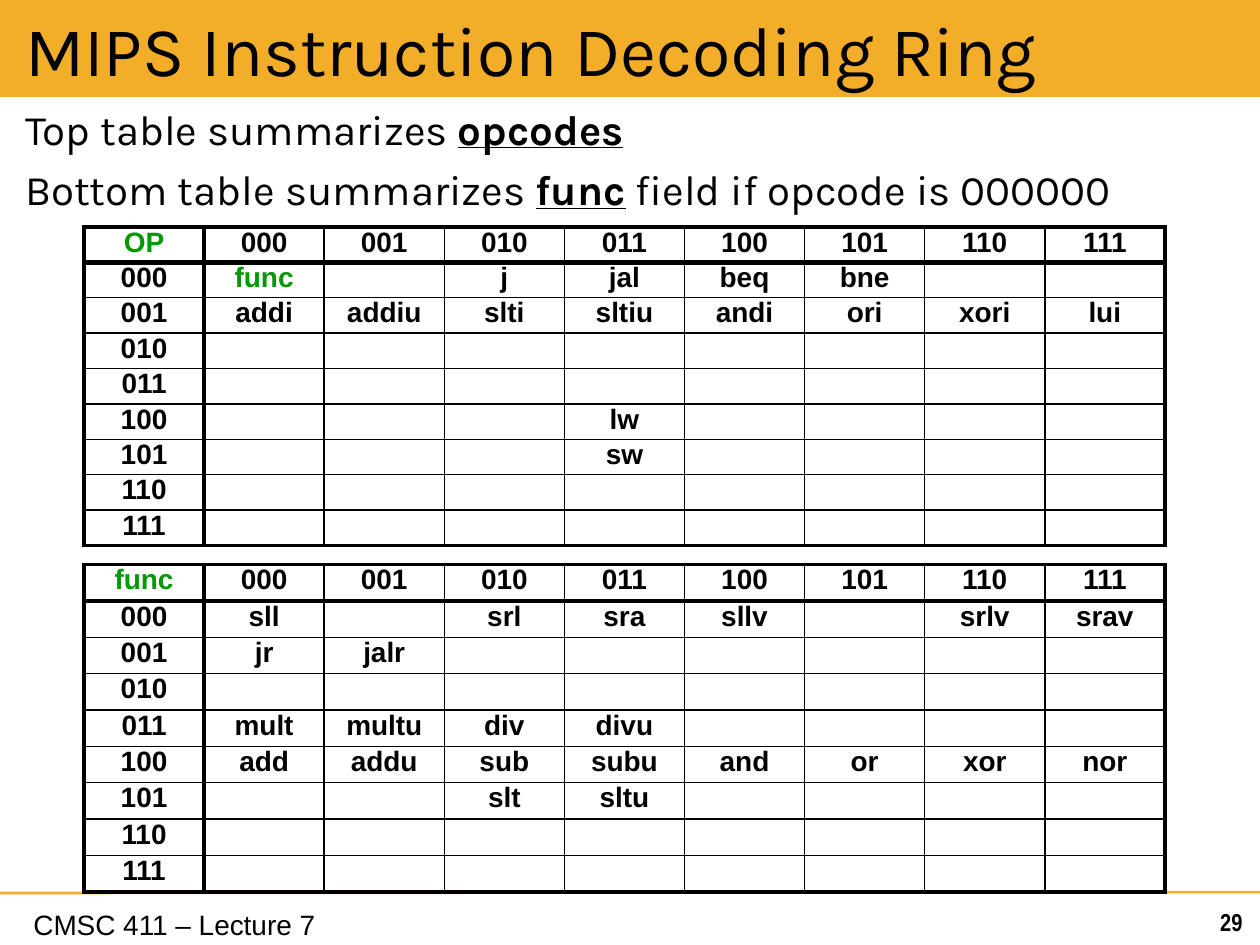
from dataclasses import dataclass

from lxml import etree
from pptx import Presentation
from pptx import util as u
from pptx.dml.color import RGBColor
from pptx.enum import shapes, text
from pptx.oxml.ns import qn

HUES = {"ink": "000000", "gold": "F2AE29", "green": "009900"}
WIDE, HIGH = 720, 540
EDGES = [2.25, 3] + [1] * 7 + [2.25]  # rule weights, same down and across
BITS = [f"{n:03b}" for n in range(8)]


@dataclass
class Run:
    words: str
    size: float
    face: str = "Arial"
    bold: bool = False
    line: bool = False
    hue: str = "ink"


@dataclass
class Grid:
    name: str
    top: float
    row: float
    codes: dict[str, str]  # row bits -> codes, "-" for an empty cell


GRIDS = [
    Grid("OP", 129.6, 20.24, {
        "000": "func - j jal beq bne - -",
        "001": "addi addiu slti sltiu andi ori xori lui",
        "100": "- - - lw - - - -",
        "101": "- - - sw - - - -",
    }),
    Grid("func", 322.6, 20.8, {
        "000": "sll - srl sra sllv - srlv srav",
        "001": "jr jalr - - - - - -",
        "011": "mult multu div divu - - - -",
        "100": "add addu sub subu and or xor nor",
        "101": "- - slt sltu - - - -",
    }),
]


def tint(key: str) -> RGBColor:
    return RGBColor.from_string(HUES[key])


def put(obj, form: dict) -> None:
    for key, val in form.items():
        setattr(obj, key, val)


def fill_par(par, runs: list[Run]) -> None:
    for item in runs:
        run = par.add_run()
        run.text = item.words
        put(run.font, {"name": item.face, "size": u.Pt(item.size),
                       "bold": item.bold, "underline": item.line})
        run.font.color.rgb = tint(item.hue)


def write(frame, pars: list[list[Run]], pad: tuple[float, float],
          side=text.PP_ALIGN.LEFT, mid=text.MSO_ANCHOR.TOP, gap: float = 0) -> None:
    x, y = map(u.Pt, pad)
    put(frame, {"word_wrap": True, "vertical_anchor": mid, "margin_left": x,
                "margin_right": x, "margin_top": y, "margin_bottom": y})
    for i, runs in enumerate(pars):
        par = frame.add_paragraph() if i else frame.paragraphs[0]
        par.alignment = side
        if i:
            par.space_before = u.Pt(gap)
        fill_par(par, runs)


def add_box(slide, box: tuple, pars: list[list[Run]], pad=(7.2, 3.6), **form) -> None:
    shape = slide.shapes.add_textbox(*map(u.Pt, box))
    write(shape.text_frame, pars, pad, **form)


def rule_cell(cell, row: int, col: int) -> None:
    prop = cell._tc.get_or_add_tcPr()
    sides = {"L": EDGES[col], "R": EDGES[col + 1], "T": EDGES[row], "B": EDGES[row + 1]}
    for side, pts in sides.items():
        line = etree.SubElement(prop, qn(f"a:ln{side}"), w=str(u.Pt(pts)))
        fill = etree.SubElement(line, qn("a:solidFill"))
        etree.SubElement(fill, qn("a:srgbClr"), val=HUES["ink"])
    cell.fill.background()


def add_grid(slide, grid: Grid) -> None:
    rows = [[grid.name] + BITS]
    rows += [[bits] + grid.codes.get(bits, "- " * 8).split() for bits in BITS]
    size = len(rows)
    box = (48, grid.top, 617.76, grid.row * size)
    table = slide.shapes.add_table(size, size, *map(u.Pt, box)).table
    put(table, {"first_row": False, "horz_banding": False})
    for i, row in enumerate(rows):
        table.rows[i].height = u.Pt(grid.row)
        for j, code in enumerate(row):
            cell = table.cell(i, j)
            put(cell, {"margin_left": u.Pt(7.2), "margin_right": u.Pt(7.2),
                       "margin_top": 0, "margin_bottom": 0})
            par = cell.text_frame.paragraphs[0]
            par.alignment = text.PP_ALIGN.CENTER
            if code == "-":  # keep empty cells as low as the others
                etree.SubElement(par._p, qn("a:endParaRPr"), sz="1600")
            else:
                hue = "green" if code in ("OP", "func") else "ink"
                fill_par(par, [Run(code, 16, bold=True, hue=hue)])
            rule_cell(cell, i, j)


def main() -> None:
    deck = Presentation()
    put(deck, {"slide_width": u.Pt(WIDE), "slide_height": u.Pt(HIGH)})
    slide = deck.slides.add_slide(deck.slide_layouts[6])

    # Footer and its rule
    add_box(slide, (12, 514.8, 240, 26.6), [[Run("CMSC 411 – Lecture 7", 16)]])
    rule = slide.shapes.add_connector(
        shapes.MSO_CONNECTOR.STRAIGHT, 0, u.Pt(510.3), u.Pt(WIDE), u.Pt(509.8))
    rule.line.color.rgb = tint("gold")
    rule.line.width = u.Pt(1.5)
    etree.SubElement(rule._element.spPr, qn("a:effectLst"))

    # Title bar
    bar = slide.shapes.add_shape(
        shapes.MSO_SHAPE.RECTANGLE, 0, 0, u.Pt(WIDE), u.Pt(55.4))
    bar.shadow.inherit = False
    bar.fill.solid()
    bar.fill.fore_color.rgb = tint("gold")
    bar.line.fill.background()
    write(bar.text_frame, [[Run("MIPS Instruction Decoding Ring", 40, "Karla")]],
          (14.4, 3.6), mid=text.MSO_ANCHOR.MIDDLE)

    # Summary lines
    def plain(words: str) -> Run:
        return Run(words, 24, "Karla")

    def key(words: str) -> Run:
        return Run(words, 24, "Karla", bold=True, line=True)

    add_box(slide, (0, 48.2, WIDE, 484.6), [
        [plain("Top table summarizes "), key("opcodes")],
        [plain("Bottom table summarizes "), key("func"),
         plain(" field if opcode is 000000")],
    ], pad=(14.4, 10.8), gap=5.6)

    # Page number
    add_box(slide, (686.9, 514.8, 30.2, 23.8),
            [[Run("29", 14, "Arial Narrow", bold=True)]], side=text.PP_ALIGN.RIGHT)

    # Decoding tables
    for grid in GRIDS:
        add_grid(slide, grid)

    deck.save("out.pptx")


if __name__ == "__main__":
    main()
